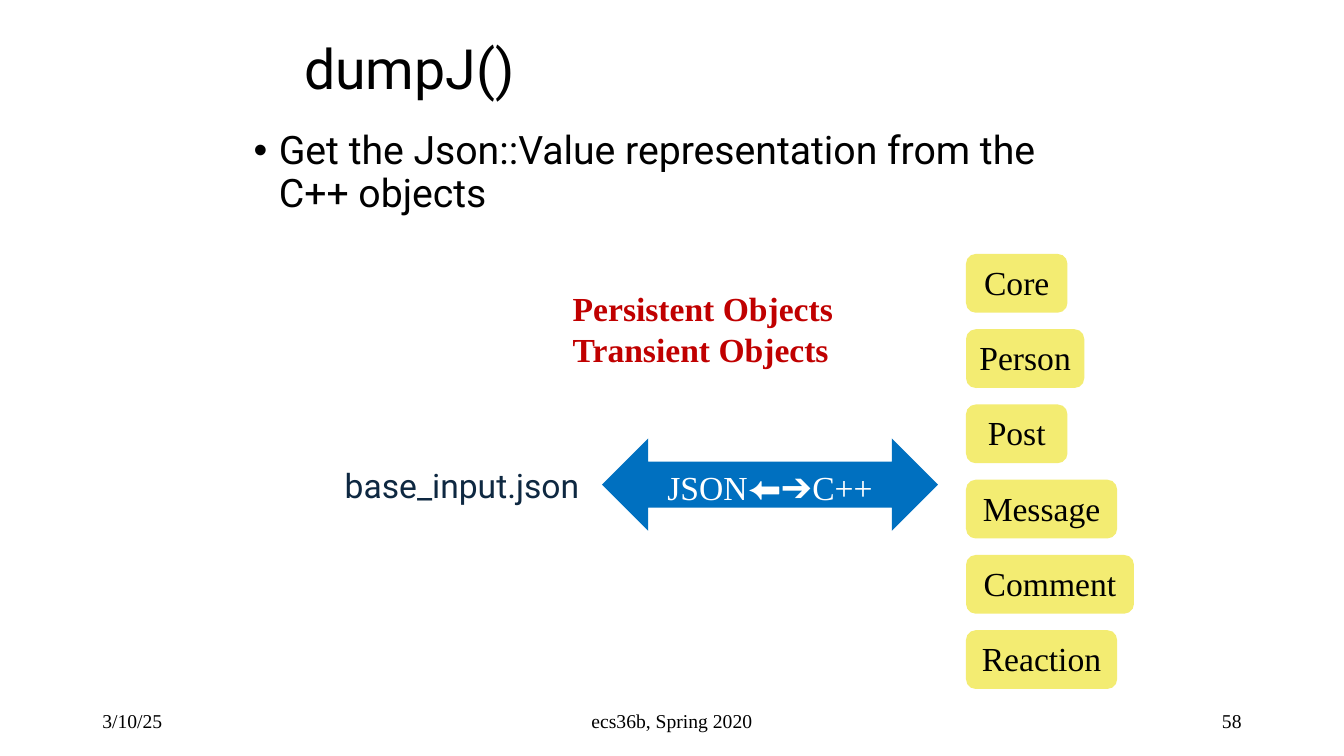
from lxml import etree
from pptx import Presentation
from pptx.dml.color import RGBColor
from pptx.enum.shapes import MSO_SHAPE
from pptx.enum.text import MSO_ANCHOR, MSO_AUTO_SIZE, PP_ALIGN
from pptx.oxml.ns import qn
from pptx.util import Pt

LEFT, CENTER, RIGHT = PP_ALIGN.LEFT, PP_ALIGN.CENTER, PP_ALIGN.RIGHT
TOP, MIDDLE = MSO_ANCHOR.TOP, MSO_ANCHOR.MIDDLE
NO_FIT, GROW = MSO_AUTO_SIZE.NONE, MSO_AUTO_SIZE.SHAPE_TO_FIT_TEXT
ARROW, ROUNDED = MSO_SHAPE.LEFT_RIGHT_ARROW, MSO_SHAPE.ROUNDED_RECTANGLE

SANS, SERIF = "Roboto", "Times New Roman"
BLACK, WHITE, NAVY = "000000", "FFFFFF", "0E2841"
RED, BLUE, YELLOW = "C00000", "0070C0", "F3EC72"


def color(value):
    return RGBColor.from_string(value)


def assign(target, values):
    for name, value in values.items():
        setattr(target, name, value)


class SlideBuilder:
    def __init__(self, page):
        self.page = page

    def place(self, shape, left, top, width, height):
        assign(shape, {"left": Pt(left), "top": Pt(top),
                       "width": Pt(width), "height": Pt(height)})

    def fill_text(self, shape, lines, size, font=SERIF, ink=BLACK, align=LEFT,
                  anchor=TOP, bold=False, spacing=1.0, wrap=True, fit=NO_FIT, bullet=False):
        frame = shape.text_frame
        assign(frame, {"word_wrap": wrap, "auto_size": fit, "vertical_anchor": anchor})
        for index, line in enumerate(lines):
            para = frame.add_paragraph() if index else frame.paragraphs[0]
            if bullet:
                self.add_bullet(para)
            assign(para, {"alignment": align, "line_spacing": spacing, "space_before": Pt(0)})
            span = para.add_run()
            span.text = line
            assign(span.font, {"name": font, "size": Pt(size), "bold": bold})
            span.font.color.rgb = color(ink)

    def add_bullet(self, para):
        properties = para._p.get_or_add_pPr()
        properties.set("marL", str(Pt(18)))
        properties.set("indent", str(-Pt(18)))
        etree.SubElement(properties, qn("a:buFont")).set("typeface", "Arial")
        etree.SubElement(properties, qn("a:buChar")).set("char", "•")

    def placeholder(self, index, bounds, text, size, **style):
        holder = self.page.placeholders[index]
        self.place(holder, *bounds)
        self.fill_text(holder, [text], size, font=SANS, spacing=0.9, **style)

    def label(self, bounds, lines, size, **style):
        box = self.page.shapes.add_textbox(*map(Pt, bounds))
        self.fill_text(box, lines, size, **style)

    def block(self, kind, bounds, text, fill, ink, adjustments):
        shape = self.page.shapes.add_shape(kind, *map(Pt, bounds))
        shape.shadow.inherit = False
        shape.fill.solid()
        shape.fill.fore_color.rgb = color(fill)
        shape.line.fill.background()
        for index, value in enumerate(adjustments):
            shape.adjustments[index] = value
        self.fill_text(shape, [text], 24, ink=ink, align=CENTER)


def main():
    deck = Presentation()
    assign(deck, {"slide_width": Pt(960), "slide_height": Pt(540)})
    builder = SlideBuilder(deck.slides.add_slide(deck.slide_layouts[1]))

    builder.placeholder(0, (210, 24, 498, 54), "dumpJ()", 39.6, anchor=MIDDLE)
    builder.placeholder(1, (174, 90, 612, 324),
                        "Get the Json::Value representation from the C++ objects",
                        28, bullet=True)

    footers = [(66, 216, "3/10/25", LEFT),
               (318, 324, "ecs36b, Spring 2020", CENTER),
               (678, 216, "58", RIGHT)]
    for left, width, text, align in footers:
        builder.label((left, 500.5, width, 28.75), [text], 14, align=align, anchor=MIDDLE)

    builder.label((228, 322.5, 204, 48), ["base_input.json"], 24,
                  font=SANS, ink=NAVY, align=CENTER, anchor=MIDDLE)
    builder.block(ARROW, (430, 313.2, 240, 66), "JSON⬅➔C++", BLUE, WHITE, (0.5, 0.5))

    classes = [("Core", 72.5), ("Person", 84.5), ("Post", 72.5),
               ("Message", 108), ("Comment", 120), ("Reaction", 108)]
    for row, (name, width) in enumerate(classes):
        builder.block(ROUNDED, (690, 181.4 + row * 53.75, width, 42),
                      name, YELLOW, BLACK, (0.167,))

    builder.label((402, 202.3, 202.3, 65.5), ["Persistent Objects", "Transient Objects"], 24,
                  ink=RED, bold=True, wrap=False, fit=GROW)
    deck.save("out.pptx")


if __name__ == "__main__":
    main()
